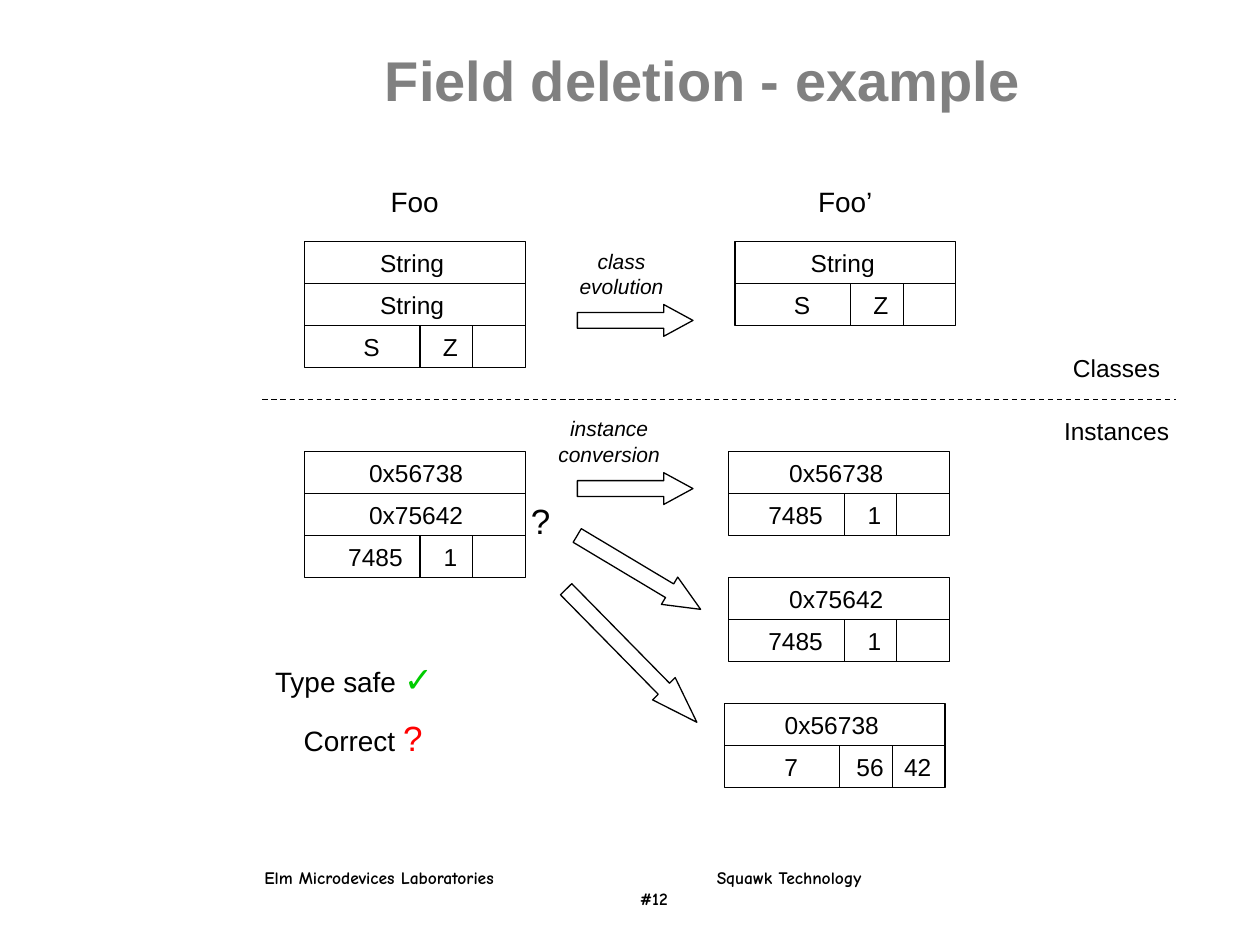
"""Build the slide on deleting a field from a class and its instances."""
from lxml import etree
from pptx import Presentation
from pptx.dml.color import RGBColor
from pptx.enum.dml import MSO_LINE
from pptx.enum.shapes import MSO_CONNECTOR, MSO_SHAPE
from pptx.enum.text import MSO_ANCHOR, PP_ALIGN
from pptx.oxml.ns import qn
from pptx.util import Cm, Pt

RECT, ARROW = MSO_SHAPE.RECTANGLE, MSO_SHAPE.RIGHT_ARROW
STRAIGHT, DASH = MSO_CONNECTOR.STRAIGHT, MSO_LINE.DASH
CENTER, LEFT, MIDDLE = PP_ALIGN.CENTER, PP_ALIGN.LEFT, MSO_ANCHOR.MIDDLE
INK = {name: RGBColor.from_string(code) for name, code in {
    "black": "000000", "gray": "808080", "green": "00CC00", "red": "FF0000"}.items()}

deck = Presentation()
deck.slide_width, deck.slide_height = Cm(25.4), Cm(19.05)
slide = deck.slides.add_slide(deck.slide_layouts[5])
shapes = slide.shapes


def add_text(mid, top, wide, high, text, size, slant=False):
    box = shapes.add_textbox(Cm(mid - wide / 2), Cm(top), Cm(wide), Cm(high))
    frame = box.text_frame
    frame.word_wrap = False
    frame.text = text
    for para in frame.paragraphs:
        para.alignment = CENTER
        para.font.name, para.font.size = "Arial", Pt(size)
        para.font.italic = slant
        para.font.color.rgb = INK["black"]
    return frame.paragraphs[0]


def add_line(left, top, right, end):
    line = shapes.add_connector(STRAIGHT, Cm(left), Cm(top), Cm(right), Cm(end))
    line.line.color.rgb, line.line.width = INK["black"], Pt(0.75)
    etree.SubElement(line.element.spPr, qn("a:effectLst"))
    return line


title = shapes.title
title.left, title.top, title.width, title.height = Cm(4.43), Cm(0.44), Cm(19.47), Cm(2.33)
title.text_frame.text = "Field deletion - example"
title.text_frame.vertical_anchor = MIDDLE
head = title.text_frame.paragraphs[0]
head.alignment = CENTER
head.font.name, head.font.size, head.font.bold = "Arial", Pt(32), True
head.font.color.rgb = INK["gray"]

ROW, WIDE = 0.847, 4.45
WIDTHS = {1: 0.85, 2: 1.12, 4: 1.7, 6: 1.88, 7: 2.5}
records = [
    (6.14, 4.87, 0, ["String", "String"], ["S", "Z"]),
    (14.82, 4.87, 0, ["String"], ["S", "Z"]),
    (6.14, 9.1, 0.08, ["0x56738", "0x75642"], ["7485", "1"]),
    (14.69, 9.1, 0, ["0x56738"], ["7485", "1"]),
    (14.69, 11.64, 0, ["0x75642"], ["7485", "1"]),
    (14.6, 14.18, 0, ["0x56738"], ["7", "56", "42"]),
]
for left, top, shift, words, parts in records:
    last = top + len(words) * ROW
    cells = [(2.17 + shift, top + i * ROW, word) for i, word in enumerate(words)]
    mids = (1.35 + shift, 2.94, 3.9)
    cells += [(mid, last, part) for mid, part in zip(mids, parts)]
    for i in range(len(words) + 1):
        row = shapes.add_shape(RECT, Cm(left), Cm(top + i * ROW), Cm(WIDE), Cm(ROW))
        row.shadow.inherit = False
        row.fill.background()
        row.line.color.rgb, row.line.width = INK["black"], Pt(0.75)
    for edge in (2.33, 3.39):
        add_line(left + edge, last, left + edge, last + ROW)
    for mid, y, word in cells:
        add_text(left + mid, y, WIDTHS[len(word)], 0.86, word, 14)

arrows = [
    (11.64, 6.14, 2.33, 0, 0.92),
    (11.64, 9.53, 2.33, 0, 0.92),
    (11.43, 11.22, 2.9, 30.9, 1.14),
    (10.85, 12.9, 3.76, 45.5, 1.48),
]
for left, top, wide, turn, point in arrows:
    arrow = shapes.add_shape(ARROW, Cm(left), Cm(top), Cm(wide), Cm(0.64))
    arrow.adjustments[0], arrow.adjustments[1] = 0.5, point
    arrow.rotation = turn
    arrow.shadow.inherit = False
    arrow.fill.background()
    arrow.line.color.rgb, arrow.line.width = INK["black"], Pt(0.75)

add_line(5.29, 8.05, 23.71, 8.05).line.dash_style = DASH

labels = [
    (8.36, 3.6, 1.55, 0.94, "Foo", 16, False),
    (17.04, 3.6, 1.7, 0.94, "Foo’", 16, False),
    (22.51, 6.99, 2.4, 0.86, "Classes", 14, False),
    (22.51, 8.26, 2.75, 0.86, "Instances", 14, False),
    (12.53, 4.88, 2.35, 1.27, "class\nevolution", 12, True),
    (12.28, 8.26, 2.7, 1.27, "instance\nconversion", 12, True),
    (10.9, 9.95, 1, 1.12, "?", 20, False),
]
for label in labels:
    add_text(*label)

checks = [
    (7.14, 13.13, 3.8, "Type safe ", "✓", "green"),
    (7.32, 14.32, 3, "Correct ", "?", "red"),
]
for mid, top, wide, text, sign, tint in checks:
    mark = add_text(mid, top, wide, 1.12, text, 16).add_run()
    mark.text = sign
    mark.font.size, mark.font.color.rgb = Pt(20), INK[tint]

foot = shapes.add_textbox(Cm(5.08), Cm(17.35), Cm(15.98), Cm(1.12)).text_frame
foot.word_wrap = True
foot.text = "Elm Microdevices Laboratories\tSquawk Technology\n\t#12"
for para, stop in zip(foot.paragraphs, (9.12, 7.57)):
    para.alignment = LEFT
    tabs = etree.SubElement(para._p.get_or_add_pPr(), qn("a:tabLst"))
    etree.SubElement(tabs, qn("a:tab"), pos=str(Cm(stop)), algn="l")
    para.font.name, para.font.size, para.font.bold = "Comic Neue", Pt(10), True
    para.font.color.rgb = INK["black"]

deck.save("out.pptx")
